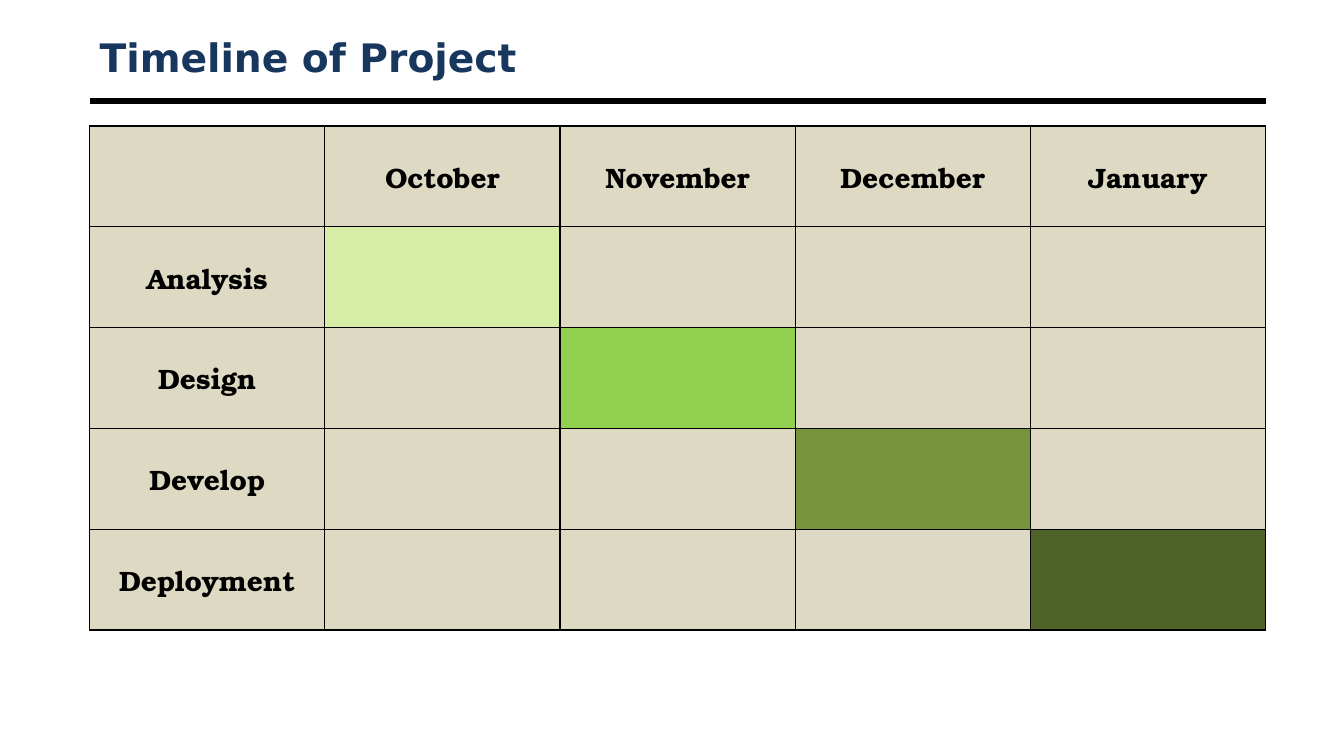
from dataclasses import dataclass

from lxml.etree import SubElement
from pptx import Presentation
from pptx.dml.color import RGBColor as RGB
from pptx.enum.shapes import MSO_CONNECTOR as CONNECTOR
from pptx.enum.text import MSO_ANCHOR as ANCHOR, PP_ALIGN as ALIGN
from pptx.oxml import parse_xml
from pptx.oxml.ns import nsdecls, qn
from pptx.util import Pt


@dataclass(frozen=True)
class Theme:
    title_font: str = "DejaVu Sans"
    table_font: str = "TeX Gyre Bonum"
    title_size: int = 28
    table_size: int = 20
    title: str = "17375E"
    ink: str = "000000"
    cell: str = "DDD9C3"
    phases: tuple = ("D5EDA4", "92D050", "77933C", "4F6228")


def style(p, font, size, color, align):
    p.alignment = align
    p.font.name = font
    p.font.size = Pt(size)
    p.font.bold = True
    p.font.color.rgb = RGB.from_string(color)


def add_borders(cell, color, width):
    for i, side in enumerate(("lnL", "lnR", "lnT", "lnB")):
        border = parse_xml(
            f'<a:{side} {nsdecls("a")} w="{Pt(width)}"><a:solidFill>'
            f'<a:srgbClr val="{color}"/></a:solidFill></a:{side}>'
        )
        cell._tc.get_or_add_tcPr().insert(i, border)


theme = Theme()
months = ["October", "November", "December", "January"]
phases = ["Analysis", "Design", "Develop", "Deployment"]
left, width = 64, 840
col_width, row_height = width / 5, 72

prs = Presentation()
prs.slide_width, prs.slide_height = Pt(960), Pt(540)
s = prs.slides.add_slide(prs.slide_layouts[5])

title = s.shapes.title
title.left, title.top, title.width, title.height = Pt(left), Pt(21.5), Pt(width), Pt(38)
tf = title.text_frame
tf.text = "Timeline of Project"
tf.vertical_anchor = ANCHOR.MIDDLE
style(tf.paragraphs[0], theme.title_font, theme.title_size, theme.title, ALIGN.LEFT)

rule = s.shapes.add_connector(CONNECTOR.STRAIGHT, Pt(left), Pt(72), Pt(left + width), Pt(72))
rule.line.color.rgb = RGB.from_string(theme.ink)
rule.line.width = Pt(4.5)
SubElement(rule._element.spPr, qn("a:effectLst"))

table = s.shapes.add_table(5, 5, Pt(left), Pt(90), Pt(width), Pt(5 * row_height)).table
for col in table.columns:
    col.width = Pt(col_width)
for row in table.rows:
    row.height = Pt(row_height)

for r in range(5):
    for c in range(5):
        cell = table.cell(r, c)
        active = r == c and r > 0
        cell.fill.solid()
        cell.fill.fore_color.rgb = RGB.from_string(theme.phases[r - 1] if active else theme.cell)
        cell.vertical_anchor = ANCHOR.MIDDLE
        add_borders(cell, theme.ink, 1)
        if (r == 0) != (c == 0):
            cell.text = months[c - 1] if r == 0 else phases[r - 1]
            style(cell.text_frame.paragraphs[0], theme.table_font, theme.table_size, theme.ink, ALIGN.CENTER)

prs.save("out.pptx")
